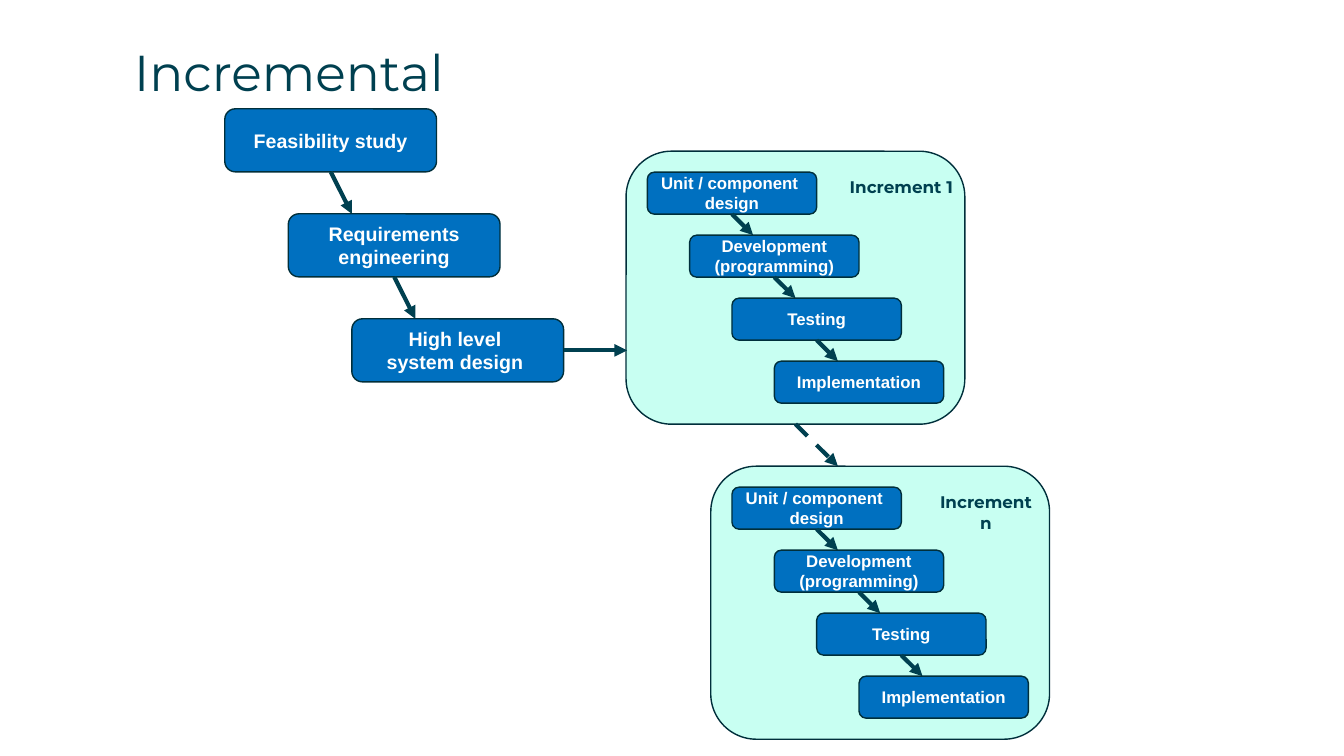
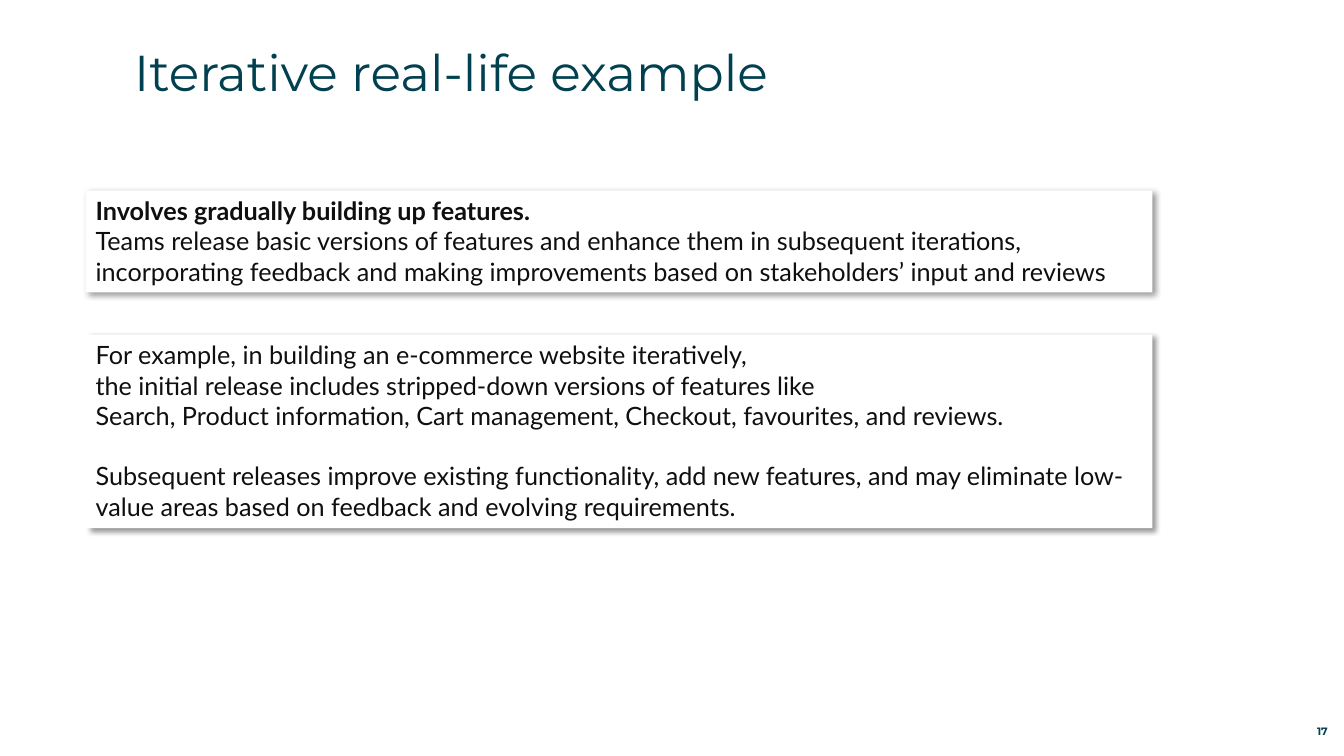
"""Build two slides on incremental and iterative development."""
from dataclasses import dataclass
from typing import Optional

from lxml.etree import SubElement
from pptx import Presentation
from pptx.dml.color import RGBColor
from pptx.enum.dml import MSO_LINE
from pptx.enum.shapes import MSO_CONNECTOR, MSO_SHAPE
from pptx.enum.text import MSO_ANCHOR as Anchor, MSO_AUTO_SIZE as AutoSize, PP_ALIGN as Align
from pptx.oxml.ns import qn
from pptx.util import Inches, Pt

TEAL, OUTLINE, BLUE, MINT = "004050", "002F3B", "0070C0", "C8FFF2"
INK, WHITE, BLACK = "0F0F0F", "FFFFFF", "000000"
HEAD_FONT, LABEL_FONT, BODY_FONT = "Montserrat", "Arial", "Lato"
COLUMN = 0.21
ROW = 0.625 / 3
PHASES = ("Feasibility study", "Requirements engineering", "High level \nsystem design ")
STEPS = ("Unit / component \ndesign", "Development (programming)", "Testing", "Implementation")


@dataclass(frozen=True)
class Area:
    left: float
    top: float
    width: float
    height: float

    def shifted(self, columns: float, rows: float) -> "Area":
        return Area(self.left + columns * COLUMN, self.top + rows * ROW, self.width, self.height)

    @property
    def bottom_middle(self) -> tuple[float, float]:
        return self.left + self.width / 2, self.top + self.height

    @property
    def right_middle(self) -> tuple[float, float]:
        return self.left + self.width, self.top + self.height / 2

    def lengths(self) -> tuple:
        return tuple(Inches(side) for side in (self.left, self.top, self.width, self.height))


@dataclass(frozen=True)
class Passage:
    text: str
    bold: bool = False
    space_before: float = 0


@dataclass(frozen=True)
class Card:
    area: Area
    passages: tuple[Passage, ...]


TITLE_AREA = Area(1.33, 0.41, 11.59, 0.57)
NUMBER_AREA = Area(12.31, 7.12, 0.86, 0.2)
FIRST_PHASE = Area(2.23, 1.08, 10 * COLUMN, 3 * ROW)
FIRST_INCREMENT = Area(6.21, 1.5, 16 * COLUMN, 13 * ROW)

CARDS = (
    Card(Area(0.85, 1.89, 10.58, 1.01), (
        Passage("Involves gradually building up features.", bold=True),
        Passage("Teams release basic versions of features and enhance them in subsequent iterations,\v"
                "incorporating feedback and making improvements based on stakeholders’ input and reviews"),
    )),
    Card(Area(0.85, 3.32, 10.58, 1.92), (
        Passage("For example, in building an e-commerce website iteratively,\v"
                "the initial release includes stripped-down versions of features like"),
        Passage("Search, Product information, Cart management, Checkout, favourites, and reviews."),
        Passage("Subsequent releases improve existing functionality, add new features, and may eliminate "
                "low-value areas based on feedback and evolving requirements.", space_before=21.6),
    )),
)


def color(value: str) -> RGBColor:
    """Turn a hex string into a colour."""
    return RGBColor.from_string(value)


def write(frame, text: str | tuple[Passage, ...], *, size: float, font: str, ink: str,
          bold: bool = False, align=Align.LEFT, anchor=Anchor.TOP,
          inset: Optional[float] = None) -> None:
    """Fill a text frame with formatted paragraphs."""
    frame.word_wrap, frame.auto_size, frame.vertical_anchor = True, AutoSize.NONE, anchor
    if inset is not None:
        frame.margin_left = frame.margin_top = frame.margin_right = frame.margin_bottom = Inches(inset)
    passages = text
    if isinstance(text, str):
        passages = tuple(Passage(line, bold) for line in text.split("\n"))
    for index, passage in enumerate(passages):
        para = frame.add_paragraph() if index else frame.paragraphs[0]
        para.text, para.alignment = passage.text, align
        if index:
            para.space_before = Pt(passage.space_before)
        for span in para.runs:
            span.font.size, span.font.name, span.font.bold = Pt(size), font, passage.bold
            span.font.color.rgb = color(ink)


def add_box(page, area: Area, *, preset=MSO_SHAPE.ROUNDED_RECTANGLE, fill: str = BLUE,
            line: Optional[str] = OUTLINE):
    """Draw a filled preset shape without a shadow."""
    box = page.shapes.add_shape(preset, *area.lengths())
    box.shadow.inherit = False
    box.fill.solid()
    box.fill.fore_color.rgb = color(fill)
    if line is None:
        box.line.fill.background()
    else:
        box.line.color.rgb, box.line.width = color(line), Pt(1)
    return box


def add_text(page, area: Area, text: str, **style) -> None:
    """Place a text box."""
    write(page.shapes.add_textbox(*area.lengths()).text_frame, text, **style)


def add_arrow(page, start: tuple[float, float], columns: float, rows: float,
              dashed: bool = False) -> None:
    """Draw an arrow that spans a number of grid cells."""
    x, y = start
    arrow = page.shapes.add_connector(MSO_CONNECTOR.STRAIGHT, Inches(x), Inches(y),
                                      Inches(x + columns * COLUMN), Inches(y + rows * ROW))
    arrow.line.color.rgb, arrow.line.width = color(TEAL), Pt(3)
    if dashed:
        arrow.line.dash_style = MSO_LINE.DASH
    SubElement(arrow.line._get_or_add_ln(), qn("a:tailEnd"), type="triangle")
    SubElement(arrow._element.spPr, qn("a:effectLst"))


def add_shadow(box) -> None:
    """Cast a soft shadow to the lower right."""
    effects = box._element.spPr.find(qn("a:effectLst"))
    shadow = SubElement(effects, qn("a:outerShdw"), blurRad=str(Pt(4)), dist=str(Pt(3)),
                        dir=str(45 * 60000), algn="tl", rotWithShape="0")
    tint = SubElement(shadow, qn("a:srgbClr"), val=BLACK)
    SubElement(tint, qn("a:alpha"), val="40000")


def add_cascade(page, labels: tuple[str, ...], first: Area, columns: int, rows: int, gap: int,
                size: float) -> Area:
    """Draw a staircase of boxes joined by arrows and return the last area."""
    area = first
    for index, label in enumerate(labels):
        area = first.shifted(index * columns, index * rows)
        write(add_box(page, area).text_frame, label, size=size, font=LABEL_FONT, ink=WHITE,
              bold=True, align=Align.CENTER, anchor=Anchor.MIDDLE, inset=0.04)
        if index < len(labels) - 1:
            add_arrow(page, area.bottom_middle, 1, gap)
    return area


def add_increment(page, area: Area, name: str) -> None:
    """Draw one increment with its steps."""
    add_box(page, area, fill=MINT)
    label = Area(area.left + 10 * COLUMN, area.top + ROW, 6 * COLUMN, 0.32)
    add_text(page, label, name, size=12, font=HEAD_FONT, ink=TEAL, bold=True, align=Align.CENTER)
    first = Area(area.left + COLUMN, area.top + ROW, 8 * COLUMN, 2 * ROW)
    add_cascade(page, STEPS, first, columns=2, rows=3, gap=1, size=12)


def add_page(deck, title: str):
    """Add a slide with the shared title style."""
    page = deck.slides.add_slide(deck.slide_layouts[5])
    heading = page.shapes.title
    heading.left, heading.top, heading.width, heading.height = TITLE_AREA.lengths()
    write(heading.text_frame, title, size=36, font=HEAD_FONT, ink=TEAL, inset=0)
    return page


def build_incremental(deck) -> None:
    """Build the slide with the incremental process."""
    page = add_page(deck, "Incremental")
    last = add_cascade(page, PHASES, FIRST_PHASE, columns=3, rows=5, gap=2, size=14)
    add_increment(page, FIRST_INCREMENT, "Increment 1")
    add_increment(page, FIRST_INCREMENT.shifted(4, 15), "Increment n")
    add_arrow(page, last.right_middle, 3, 0)
    add_arrow(page, FIRST_INCREMENT.bottom_middle, 2, 2, dashed=True)


def build_iterative(deck) -> None:
    """Build the slide with the iterative example."""
    page = add_page(deck, "Iterative real-life example")
    for card in CARDS:
        box = add_box(page, card.area, preset=MSO_SHAPE.RECTANGLE, fill=WHITE, line=None)
        add_shadow(box)
        write(box.text_frame, card.passages, size=18, font=BODY_FONT, ink=INK)
    add_text(page, NUMBER_AREA, "17", size=7.6, font=HEAD_FONT, ink=TEAL, bold=True,
             align=Align.RIGHT, anchor=Anchor.BOTTOM, inset=0)


def main() -> None:
    """Build and save the deck."""
    deck = Presentation()
    deck.slide_width, deck.slide_height = Inches(13.33), Inches(7.5)
    build_incremental(deck)
    build_iterative(deck)
    deck.save("out.pptx")


if __name__ == "__main__":
    main()
